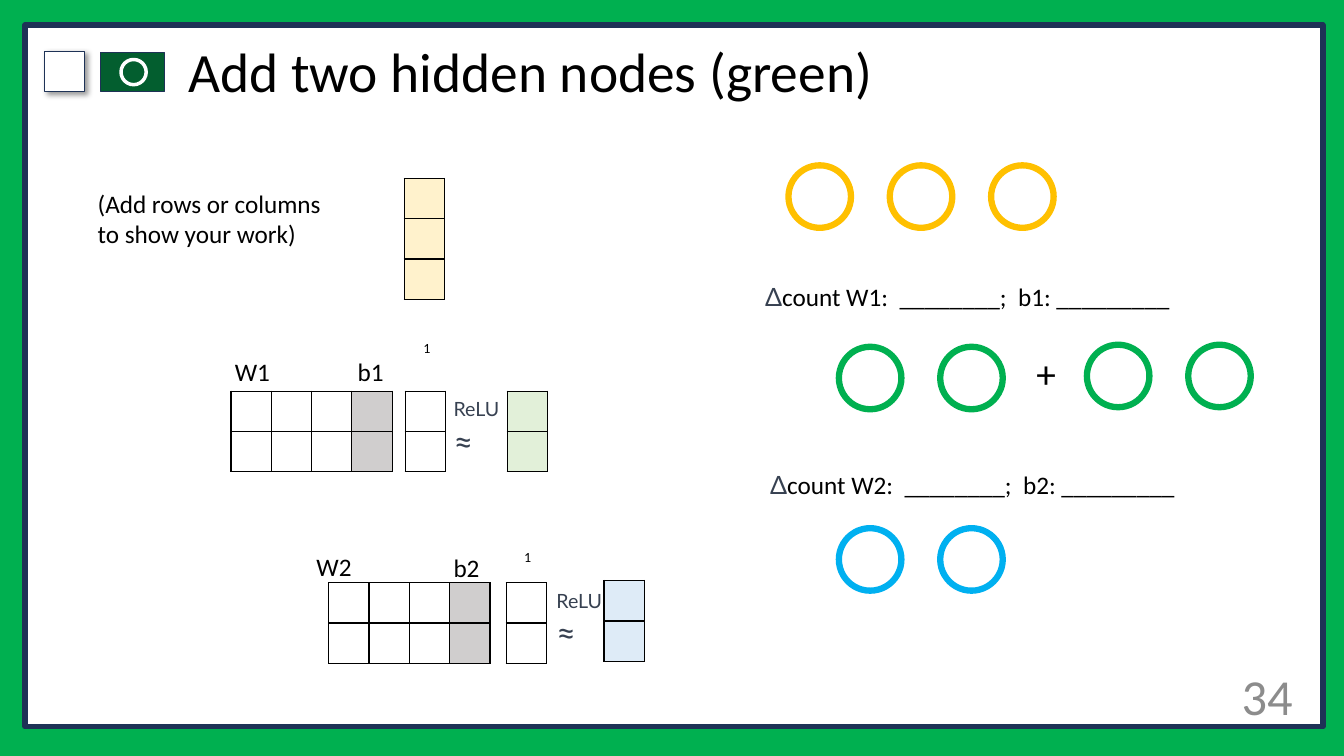
from lxml import etree
from pptx import Presentation
from pptx.dml.color import RGBColor
from pptx.enum import shapes, text
from pptx.oxml import parse_xml
from pptx.oxml.ns import qn
from pptx.util import Inches, Pt

DRAWING = "http://schemas.openxmlformats.org/drawingml/2006/main"
NO_STYLE = "{2D5ABB26-0587-4C30-8999-92F81FD0307C}"
RECTANGLE = shapes.MSO_SHAPE.RECTANGLE
OVAL = shapes.MSO_SHAPE.OVAL
CELL = 0.4
CIRCLE = 0.62
CIRCLE_STEP = 1.005
NAVY, WHITE, GREEN, BLACK, SLATE = "1E3256", "FFFFFF", "00B050", "000000", "374151"


def color(value):
    return RGBColor.from_string(value)


def set_font(font, size, name="Calibri", fill=BLACK):
    font.size = Pt(size)
    font.name = name
    font.color.rgb = color(fill)


def add_outline(slide, kind, left, top, width, height, line, weight, fill=None):
    shape = slide.shapes.add_shape(
        kind, Inches(left), Inches(top), Inches(width), Inches(height))
    shape.shadow.inherit = False
    if fill:
        shape.fill.solid()
        shape.fill.fore_color.rgb = color(fill)
    else:
        shape.fill.background()
    shape.line.color.rgb = color(line)
    shape.line.width = Pt(weight)
    return shape


def add_drop_shadow(shape):
    effects = shape.element.spPr.find(qn("a:effectLst"))
    effects.append(parse_xml(
        f'<a:outerShdw xmlns:a="{DRAWING}" blurRad="50800" dist="38100" '
        'dir="2700000" algn="tl" rotWithShape="0"><a:srgbClr val="000000">'
        '<a:alpha val="40000"/></a:srgbClr></a:outerShdw>'))


def add_circles(slide, left, top, count, line):
    for index in range(count):
        add_outline(slide, OVAL, left + index * CIRCLE_STEP, top,
                    CIRCLE, CIRCLE, line, 4.5)


def add_box(slide, left, top, width, height, wrap=False):
    box = slide.shapes.add_textbox(
        Inches(left), Inches(top), Inches(width), Inches(height))
    box.text_frame.word_wrap = wrap
    return box.text_frame


def add_label(slide, left, top, width, height, words, size, wrap=False, fill=BLACK):
    frame = add_box(slide, left, top, width, height, wrap)
    paragraph = frame.paragraphs[0]
    paragraph.text = words
    set_font(paragraph.font, size, fill=fill)
    return frame


def add_activation(slide, left, top):
    frame = add_box(slide, left, top, 0.76, 0.74, True)
    frame.text = "ReLU\n≈"
    for paragraph, size in zip(frame.paragraphs, (14, 24)):
        set_font(paragraph.font, size, "Lato", SLATE)


def add_count(slide, left, top, words):
    paragraph = add_box(slide, left, top, 4.24, 0.4).paragraphs[0]
    for part, name, fill in (("Δ", "Lato", SLATE), (words, "Calibri", BLACK)):
        run = paragraph.add_run()
        run.text = part
        set_font(run.font, 18, name, fill)


def add_border(cell):
    properties = cell._tc.get_or_add_tcPr()
    for index, side in enumerate(("lnL", "lnR", "lnT", "lnB")):
        line = etree.Element(qn(f"a:{side}"), w="12700")
        fill = etree.SubElement(line, qn("a:solidFill"))
        etree.SubElement(fill, qn("a:srgbClr"), val=BLACK)
        properties.insert(index, line)


def add_matrix(slide, left, top, rows, fills):
    columns = len(fills)
    frame = slide.shapes.add_table(
        rows, columns, Inches(left), Inches(top),
        Inches(CELL * columns), Inches(CELL * rows))
    table = frame.table
    table.first_row = table.horz_banding = False
    table._tbl.tblPr.find(qn("a:tableStyleId")).text = NO_STYLE
    for row in table.rows:
        for cell, fill in zip(row.cells, fills):
            cell.margin_top = cell.margin_bottom = 0
            if fill:
                cell.fill.solid()
                cell.fill.fore_color.rgb = color(fill)
            else:
                cell.fill.background()
            add_border(cell)


def add_title(slide, words):
    title = slide.shapes.title
    title.left, title.top = Inches(1.77), Inches(0.4)
    title.width, title.height = Inches(10.65), Inches(0.68)
    title.text_frame.text = words
    title.text_frame.vertical_anchor = text.MSO_ANCHOR.MIDDLE
    title.text_frame.auto_size = text.MSO_AUTO_SIZE.NONE
    paragraph = title.text_frame.paragraphs[0]
    paragraph.alignment = text.PP_ALIGN.LEFT
    paragraph.line_spacing = 0.9
    set_font(paragraph.font, 39.6)
    title.element.getparent().append(title.element)


def add_frame(slide):
    slide.background.fill.solid()
    slide.background.fill.fore_color.rgb = color(GREEN)
    add_outline(slide, RECTANGLE, 0.25, 0.25, 12.87, 6.96, NAVY, 4, WHITE)
    add_drop_shadow(add_outline(slide, RECTANGLE, 0.44, 0.51, 0.4, 0.4, NAVY, 1, WHITE))
    add_outline(slide, RECTANGLE, 1, 0.52, 0.63, 0.39, NAVY, 1, "035E2F")
    add_outline(slide, OVAL, 1.2, 0.59, 0.25, 0.25, WHITE, 2.5, "035E2F")


def add_matrices(slide):
    weights = [None, None, None, "D0CECE"]
    add_matrix(slide, 4.01, 1.77, 3, ["FFF2CC"])
    add_matrix(slide, 2.29, 3.88, 2, weights)
    add_matrix(slide, 4.02, 3.88, 2, [None])
    add_matrix(slide, 5.03, 3.88, 2, ["E2F0D9"])
    add_matrix(slide, 3.26, 5.78, 2, weights)
    add_matrix(slide, 5.02, 5.78, 2, [None])
    add_matrix(slide, 5.99, 5.76, 2, ["DEEBF7"])
    for left, top, width, words in (
            (2.23, 3.49, 0.55, "W1"), (3.45, 3.49, 0.46, "b1"),
            (3.04, 5.42, 0.55, "W2"), (4.4, 5.43, 0.46, "b2")):
        add_label(slide, left, top, width, 0.4, words, 18)
    for left, top in ((4.1, 3.32), (5.1, 5.39)):
        add_label(slide, left, top, 0.27, 0.27, "1", 10)


def add_network(slide):
    for left, top, count, line in (
            (7.82, 1.64, 3, "FFC000"), (8.32, 3.44, 2, GREEN),
            (10.78, 3.42, 2, GREEN), (8.32, 5.24, 2, "00B0F0")):
        add_circles(slide, left, top, count, line)
    add_label(slide, 10.18, 3.42, 0.31, 0.57, "+", 28)
    add_count(slide, 7.49, 2.74, "count W1:  ________;  b1: _________")
    add_count(slide, 7.54, 4.61, "count W2:  ________;  b2: _________")


def main():
    presentation = Presentation()
    presentation.slide_width = Inches(13.33)
    presentation.slide_height = Inches(7.5)
    slide = presentation.slides.add_slide(presentation.slide_layouts[5])
    add_frame(slide)
    add_activation(slide, 4.4, 3.89)
    add_activation(slide, 5.42, 5.79)
    add_title(slide, "Add two hidden nodes (green)")
    number = add_label(slide, 11.67, 6.47, 1.25, 0.86, "34", 36, True, "8C8C8C")
    number.vertical_anchor = text.MSO_ANCHOR.MIDDLE
    number.paragraphs[0].alignment = text.PP_ALIGN.RIGHT
    add_matrices(slide)
    add_network(slide)
    add_label(slide, 0.87, 1.82, 2.49, 0.71,
              "(Add rows or columns to show your work)", 18, True)
    presentation.save("out.pptx")


if __name__ == "__main__":
    main()
